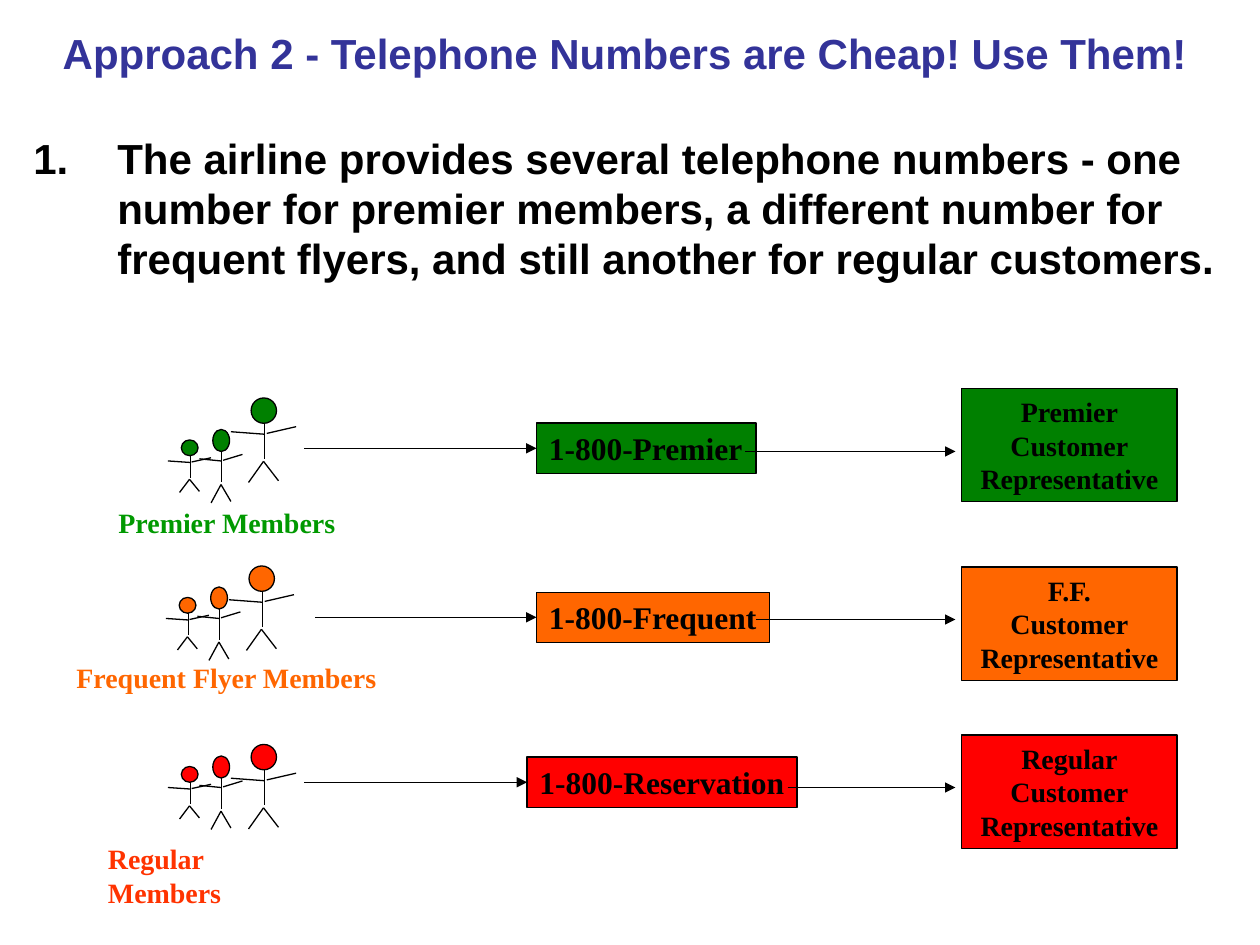
from dataclasses import dataclass
from pptx import Presentation as Deck
from pptx.dml.color import RGBColor as Rgb
from pptx.enum.shapes import MSO_CONNECTOR as Conn, MSO_SHAPE as Kind
from pptx.enum.text import MSO_ANCHOR as Anchor, MSO_AUTO_SIZE as Fit, PP_ALIGN as Align
from pptx.oxml.ns import qn
from pptx.util import Inches, Pt
from lxml.etree import SubElement as Sub


@dataclass(frozen=True)
class Theme:
    ink: str = "000000"
    head: str = "333399"
    green: str = "008000"
    leaf: str = "009900"
    amber: str = "FF6600"
    red: str = "FF0000"
    flame: str = "FF3300"
    sans: str = "Arial"
    serif: str = "Times New Roman"
    big: int = 24
    mid: int = 18
    small: int = 16
    line: float = 0.75


def unit(n):
    return Inches(n / 12)


class Board:
    def __init__(self, slide, theme):
        self.slide = slide
        self.theme = theme

    def place(self, item, area):
        item.left, item.top, item.width, item.height = map(unit, area)

    def text(self, item, lines, size, font, color, align=Align.LEFT,
             anchor=Anchor.TOP, wrap=True, fit=Fit.NONE):
        frame = item.text_frame
        frame.word_wrap = wrap
        frame.auto_size = fit
        frame.vertical_anchor = anchor
        for i, line in enumerate(lines):
            para = frame.add_paragraph() if i else frame.paragraphs[0]
            para.alignment = align
            run = para.add_run()
            run.text = line
            run.font.size = Pt(size)
            run.font.name = font
            run.font.bold = True
            run.font.color.rgb = Rgb.from_string(color)
        return frame

    def title(self, text, area):
        t = self.theme
        item = self.slide.shapes.title
        self.place(item, area)
        self.text(item, [text], t.big, t.sans, t.head, Align.CENTER, Anchor.MIDDLE)

    def point(self, text, area):
        t = self.theme
        item = self.slide.shapes.add_textbox(*map(unit, area))
        frame = self.text(item, [text], t.big, t.sans, t.ink)
        para = frame.paragraphs[0]
        para.space_before = Pt(6)
        props = para._p.get_or_add_pPr()
        props.set("marL", str(unit(8)))
        props.set("indent", str(unit(-8)))
        tint = Sub(props, qn("a:buClr"))
        Sub(tint, qn("a:srgbClr"), val=t.ink)
        Sub(props, qn("a:buAutoNum"), type="arabicPeriod")

    def label(self, text, color, area):
        t = self.theme
        item = self.slide.shapes.add_textbox(*map(unit, area))
        self.text(item, [text], t.small, t.serif, color, wrap=False, fit=Fit.SHAPE_TO_FIT_TEXT)

    def shape(self, kind, color, area, host=None):
        item = (host or self.slide).shapes.add_shape(kind, *map(unit, area))
        item.shadow.inherit = False
        item.fill.solid()
        item.fill.fore_color.rgb = Rgb.from_string(color)
        item.line.color.rgb = Rgb.from_string(self.theme.ink)
        item.line.width = Pt(self.theme.line)
        return item

    def box(self, lines, color, area, size, align=Align.LEFT, wrap=False):
        t = self.theme
        item = self.shape(Kind.RECTANGLE, color, area)
        self.text(item, lines, size, t.serif, t.ink, align, wrap=wrap, fit=Fit.SHAPE_TO_FIT_TEXT)
        return item

    def line(self, start, end, host=None):
        ends = map(unit, (*start, *end))
        item = (host or self.slide).shapes.add_connector(Conn.STRAIGHT, *ends)
        item.line.color.rgb = Rgb.from_string(self.theme.ink)
        item.line.width = Pt(self.theme.line)
        Sub(item._element.spPr, qn("a:effectLst"))
        return item

    def arrow(self, start, end, goal=None):
        item = self.line(start, end)
        Sub(item.line._get_or_add_ln(), qn("a:tailEnd"), type="triangle")
        if goal:
            item.end_connect(goal, 1)

    def person(self, color, area):
        left, top, wide, high = area
        group = self.slide.shapes.add_group_shape()

        def spot(x, y):
            return left + x * wide, top + y * high

        head = (*spot(0.31, 0), 0.39 * wide, 0.3 * high)
        self.shape(Kind.OVAL, color, head, group)
        for start, end in LIMBS:
            self.line(spot(*start), spot(*end), group)


LIMBS = [
    ((0.52, 0.3), (0.52, 0.72)),
    ((0.5, 0.75), (0.27, 1)),
    ((0.5, 0.75), (0.73, 0.98)),
    ((0.52, 0.43), (0, 0.4)),
    ((0.55, 0.42), (1, 0.34)),
]


def main():
    t = Theme()
    deck = Deck()
    deck.slide_width, deck.slide_height = unit(120), unit(90)
    board = Board(deck.slides.add_slide(deck.slide_layouts[5]), t)
    board.title("Approach 2 - Telephone Numbers are Cheap! Use Them!", (1, 2, 117, 6))
    board.point(
        "The airline provides several telephone numbers - one number for premier "
        "members, a different number for frequent flyers, and still another for "
        "regular customers.", (2, 12, 116, 73))

    lanes = [
        ("Premier Members", t.leaf, (10.1, 47.6, 23.2), "1-800-Premier",
         (51.1, 40.3, 20.9), "Premier", 37, t.green, (22, 37.9, 41.9), (29, 71)),
        ("Frequent Flyer Members", t.amber, (6.1, 62.3, 31.1), "1-800-Frequent",
         (51.1, 56.4, 22.2), "F.F.", 54, t.amber, (21.8, 53.9, 56.9), (30, 72)),
        ("Regular Members", t.flame, (9.1, 79.6, 22.9), "1-800-Reservation",
         (50.2, 72.1, 25.7), "Regular", 70, t.red, (22, 70.9, 73), (29, 75)),
    ]
    for i, (name, tint, tag, phone, slot, rep, top, color, folk, starts) in enumerate(lanes):
        left, tall, short = folk
        board.person(color, (left, tall, 6.2, 8.05))
        board.person(color, (left - 6, short, 4.1, 5))
        board.person(color, (left - 3, short - 1, 4.1, 7))
        board.label(name, tint, (*tag, 4.4))
        desk = board.box([phone], color, (*slot, 4.8), t.mid)
        board.box([rep, "Customer", "Representative"], color,
                  (91.6, top, 20.5, 10.8), t.small, Align.CENTER, True)
        row = 43 + 16 * i
        level = slot[1] + 2.4
        board.arrow((starts[0], level), (slot[0], level), desk)
        board.arrow((starts[1], row), (91, row))

    deck.save("out.pptx")


if __name__ == "__main__":
    main()
